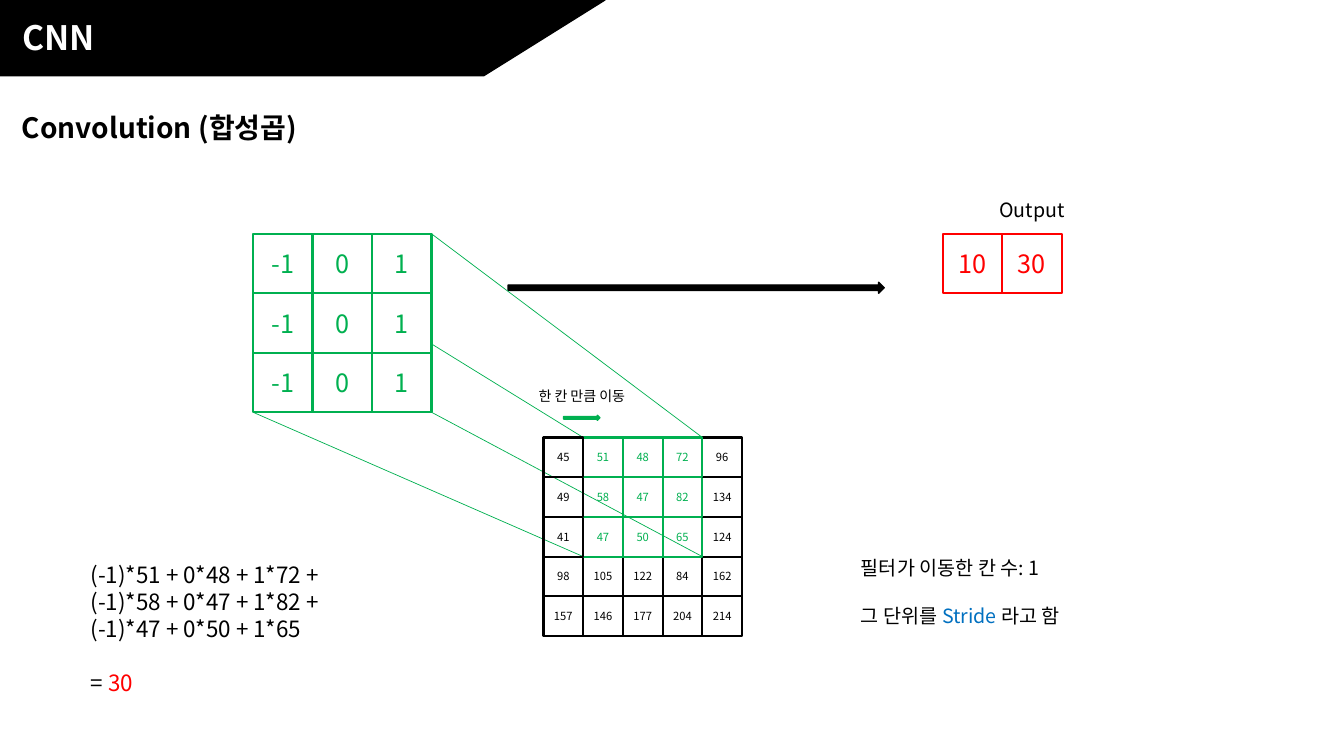
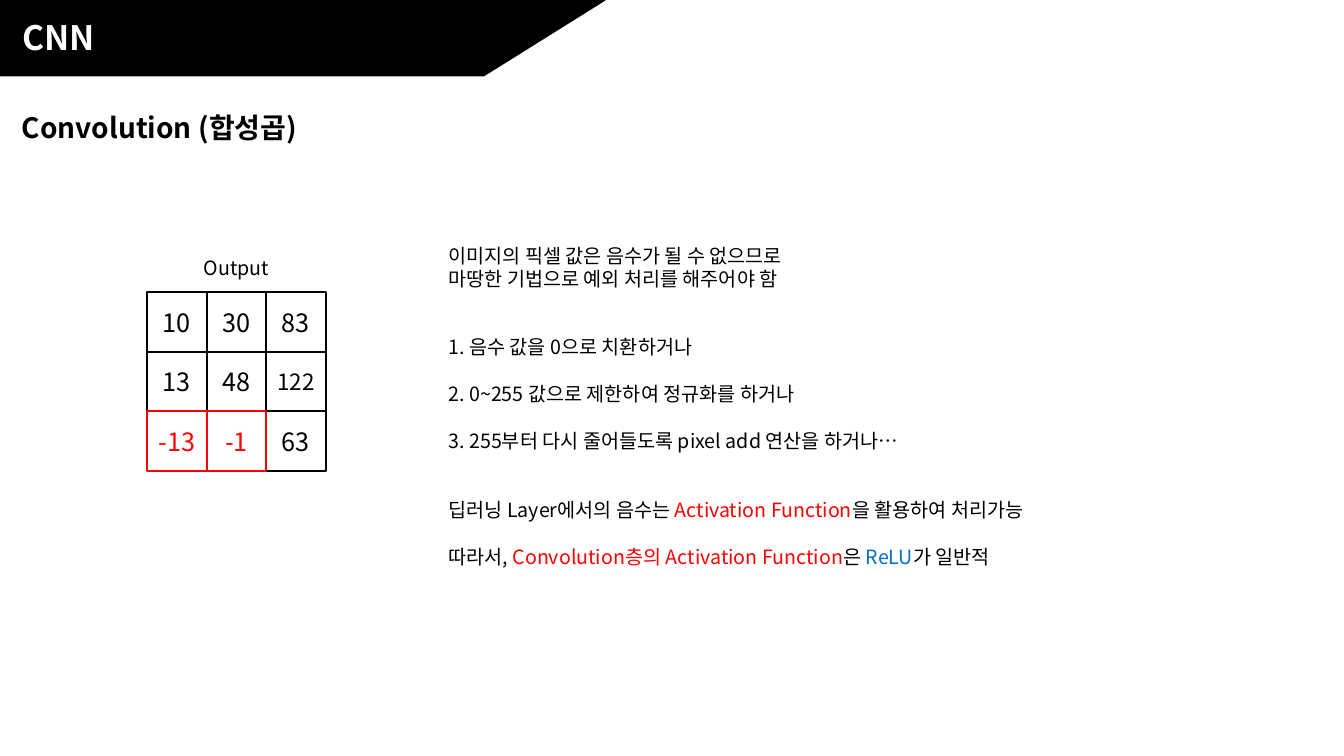
from dataclasses import dataclass
from typing import Optional

import lxml.etree
import pptx
import pptx.dml.color
import pptx.enum.shapes
import pptx.enum.text
import pptx.oxml.ns
import pptx.util

Inches = pptx.util.Inches
Pt = pptx.util.Pt
Shape = pptx.enum.shapes.MSO_SHAPE
Align = pptx.enum.text.PP_ALIGN

FONT = "Noto Sans CJK KR"
COLORS = {
    "black": "000000",
    "white": "FFFFFF",
    "green": "00B050",
    "red": "FF0000",
    "blue": "0070C0",
}
CELL = 0.59


@dataclass(frozen=True)
class Span:
    text: str
    color: str = "black"


@dataclass(frozen=True)
class Para:
    spans: tuple[Span, ...]
    before: float = 0


@dataclass(frozen=True)
class TextBlock:
    left: float
    top: float
    width: float
    height: float
    size: float
    paras: tuple[Para, ...]
    bold: bool = False
    align: Align = Align.LEFT


@dataclass(frozen=True)
class Grid:
    """Square cells; marked positions are (row, column) in the mark colour."""
    left: float
    top: float
    cell: float
    rows: tuple[tuple[int, ...], ...]
    size: float = 18
    color: str = "black"
    marked: frozenset[tuple[int, int]] = frozenset()
    mark_color: str = "red"
    filled: bool = True
    bottom_up: bool = False


def rgb(name: str) -> pptx.dml.color.RGBColor:
    return pptx.dml.color.RGBColor.from_string(COLORS[name])


def line(text: str, before: float = 0, color: str = "black") -> Para:
    return Para((Span(text, color),), before)


def add_span(para, span: Span, size: float, bold: bool = False) -> None:
    run = para.add_run()
    run.text = span.text
    run.font.size = Pt(size)
    run.font.bold = bold
    run.font.color.rgb = rgb(span.color)
    run.font.name = FONT
    east_asian = lxml.etree.SubElement(run.font._element, pptx.oxml.ns.qn("a:ea"))
    east_asian.set("typeface", FONT)


def add_text(page, block: TextBlock) -> None:
    box = page.shapes.add_textbox(Inches(block.left), Inches(block.top),
                                  Inches(block.width), Inches(block.height))
    frame = box.text_frame
    frame.word_wrap = True
    for index, item in enumerate(block.paras):
        para = frame.add_paragraph() if index else frame.paragraphs[0]
        para.alignment = block.align
        if item.before:
            para.space_before = Pt(item.before)
        for span in item.spans:
            add_span(para, span, block.size, block.bold)


def add_box(shapes, kind: Shape, left: float, top: float, width: float, height: float,
            fill: Optional[str], outline: str, weight: float = 1):
    box = shapes.add_shape(kind, Inches(left), Inches(top), Inches(width), Inches(height))
    box.shadow.inherit = False
    if fill:
        box.fill.solid()
        box.fill.fore_color.rgb = rgb(fill)
    else:
        box.fill.background()
    box.line.color.rgb = rgb(outline)
    box.line.width = Pt(weight)
    return box


def add_grid(page, grid: Grid) -> None:
    """Draw each row from the right, so a left cell's border lies on top."""
    group = page.shapes.add_group_shape()
    rows = list(enumerate(grid.rows))
    for row, values in reversed(rows) if grid.bottom_up else rows:
        for column, value in reversed(list(enumerate(values))):
            color = grid.mark_color if (row, column) in grid.marked else grid.color
            box = add_box(group.shapes, Shape.RECTANGLE,
                          grid.left + column * grid.cell, grid.top + row * grid.cell,
                          grid.cell, grid.cell, "white" if grid.filled else None, color, 1.5)
            frame = box.text_frame
            frame.margin_left = frame.margin_right = 0
            frame.vertical_anchor = pptx.enum.text.MSO_ANCHOR.MIDDLE
            para = frame.paragraphs[0]
            para.alignment = Align.CENTER
            wide = grid.size == 18 and value > 99
            add_span(para, Span(str(value), color), 16 if wide else grid.size)


def add_ray(page, start: tuple[float, float], end: tuple[float, float]) -> None:
    ray = page.shapes.add_connector(pptx.enum.shapes.MSO_CONNECTOR.STRAIGHT,
                                    *(Inches(value) for value in start + end))
    ray.line.color.rgb = rgb("green")
    ray.line.width = Pt(0.5)
    lxml.etree.SubElement(ray._element.spPr, pptx.oxml.ns.qn("a:effectLst"))


def add_output_label(page, left: float, top: float) -> None:
    add_text(page, TextBlock(left, top, 3 * CELL, 0.34, 14, (line("Output"),),
                             align=Align.CENTER))


def add_page(deck):
    """Add a blank page with the black band and both headings."""
    page = deck.slides.add_slide(deck.slide_layouts[6])
    for kind, width in ((Shape.RECTANGLE, 1.98), (Shape.FLOWCHART_DATA, 6)):
        add_box(page.shapes, kind, 0, 0, width, 0.75, "black", "black")
    add_text(page, TextBlock(0.12, 0.12, 3.71, 0.5, 24,
                             (line("CNN", color="white"),), bold=True))
    add_text(page, TextBlock(0.12, 1.05, 8.44, 0.44, 20,
                             (line("Convolution (합성곱)"),), bold=True))
    return page


def build_stride_page(deck) -> None:
    page = add_page(deck)
    kernel = Grid(2.51, 2.32, CELL, ((-1, 0, 1),) * 3, color="green")
    pixels = Grid(
        5.39, 4.34, 1.97 / 5,
        ((45, 51, 48, 72, 96),
         (49, 58, 47, 82, 134),
         (41, 47, 50, 65, 124),
         (98, 105, 122, 84, 162),
         (157, 146, 177, 204, 214)),
        size=8,
        marked=frozenset((row, column) for row in range(3) for column in range(1, 4)),
        mark_color="green", filled=False, bottom_up=True)

    add_box(page.shapes, Shape.RIGHT_ARROW, 5.04, 2.8, 3.73, 0.11, "black", "black")
    for across in (0, 3):
        for down in (0, 3):
            add_ray(page,
                    (kernel.left + across * kernel.cell, kernel.top + down * kernel.cell),
                    (pixels.left + (across + 1) * pixels.cell,
                     pixels.top + down * pixels.cell))
    add_grid(page, kernel)
    add_output_label(page, 9.35, 1.91)
    add_grid(page, Grid(9.35, 2.32, CELL, ((10, 30),), color="red"))
    add_text(page, TextBlock(0.8, 5.52, 3.15, 1.45, 16, (
        line("(-1)*51 + 0*48 + 1*72 +"),
        line("(-1)*58 + 0*47 + 1*82 +"),
        line("(-1)*47 + 0*50 + 1*65"),
        Para((Span("= "), Span("30", "red")), before=19.3),
    )))
    add_text(page, TextBlock(5.18, 3.8, 1.18, 0.27, 10, (line("한 칸 만큼 이동"),),
                             align=Align.CENTER))
    add_box(page.shapes, Shape.RIGHT_ARROW, 5.59, 4.12, 0.36, 0.05, "green", "green")
    add_grid(page, pixels)
    add_text(page, TextBlock(8.44, 5.47, 3.59, 0.81, 14, (
        line("필터가 이동한 칸 수: 1"),
        Para((Span("그 단위를 "), Span("Stride ", "blue"), Span("라고 함")), before=17),
    )))


def build_negative_page(deck) -> None:
    page = add_page(deck)
    add_output_label(page, 1.46, 2.49)
    add_grid(page, Grid(1.46, 2.9, CELL, ((10, 30, 83), (13, 48, 122), (-13, -1, 63)),
                        marked=frozenset({(2, 0), (2, 1)})))
    add_text(page, TextBlock(4.35, 2.37, 4.4, 0.57, 14, (
        line("이미지의 픽셀 값은 음수가 될 수 없으므로"),
        line("마땅한 기법으로 예외 처리를 해주어야 함"),
    )))
    add_text(page, TextBlock(4.35, 3.27, 5.44, 1.28, 14, (
        line("1. 음수 값을 0으로 치환하거나"),
        line("2. 0~255 값으로 제한하여 정규화를 하거나", before=17),
        line("3. 255부터 다시 줄어들도록 pixel add 연산을 하거나…", before=17),
    )))
    add_text(page, TextBlock(4.35, 4.89, 6.54, 0.81, 14, (
        Para((Span("딥러닝 Layer에서의 음수는 "), Span("Activation Function", "red"),
              Span("을 활용하여 처리가능"))),
        Para((Span("따라서, "), Span("Convolution층의 Activation Function", "red"),
              Span("은 "), Span("ReLU", "blue"), Span("가 일반적")), before=17),
    )))


def main() -> None:
    deck = pptx.Presentation()
    deck.slide_width = Inches(13.33)
    deck.slide_height = Inches(7.5)
    build_stride_page(deck)
    build_negative_page(deck)
    deck.save("out.pptx")


if __name__ == "__main__":
    main()
